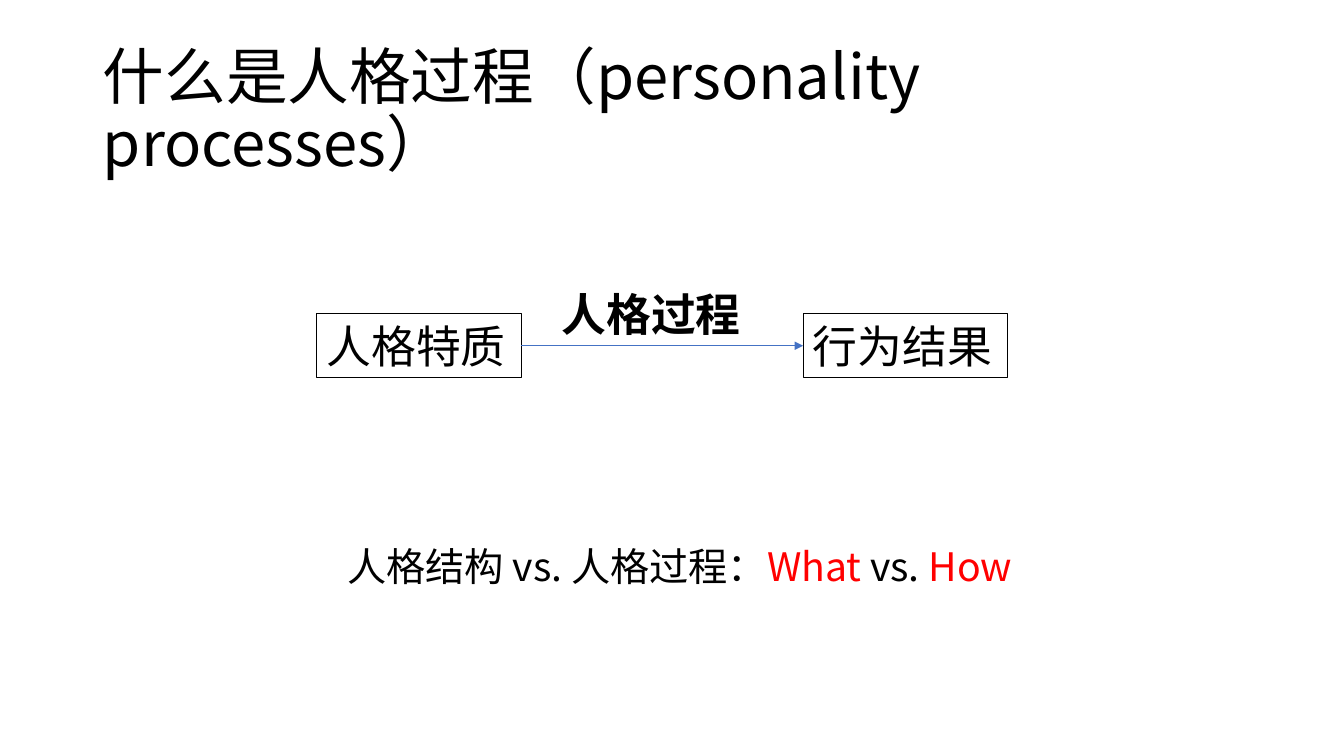
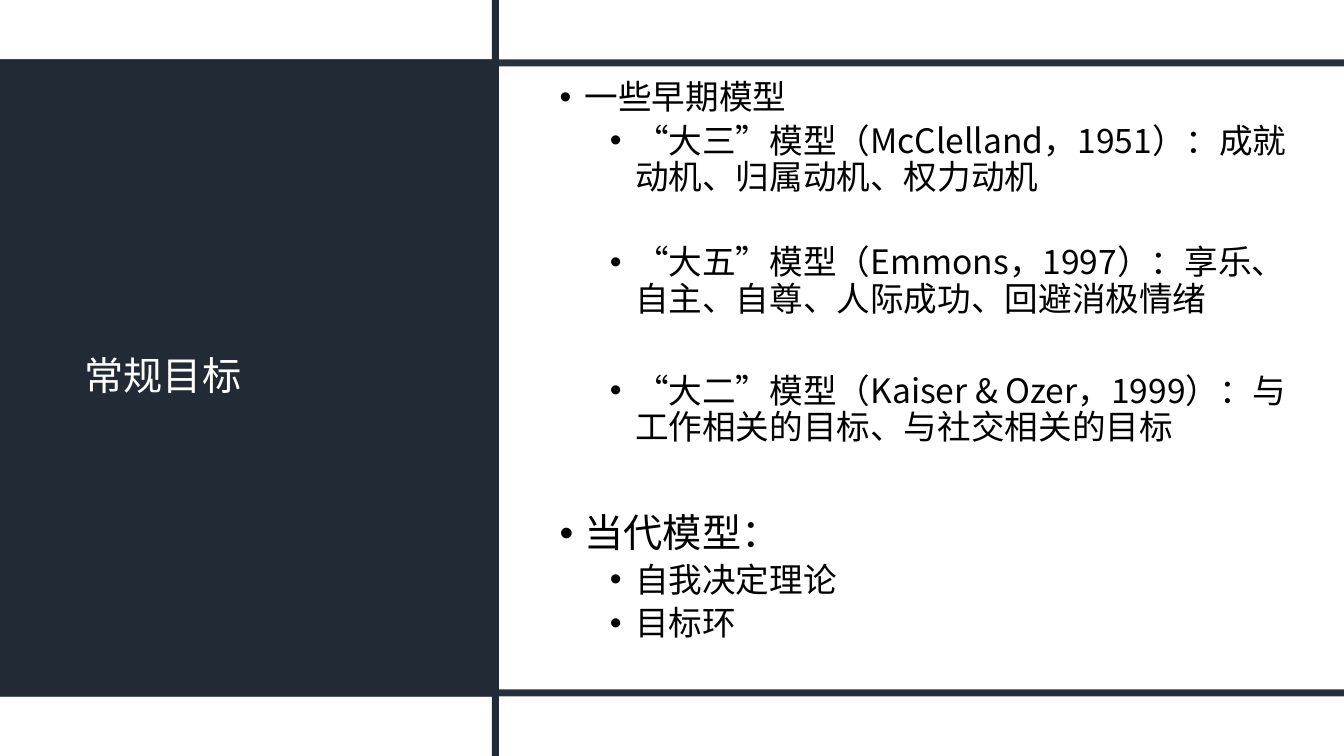
"""Two slides on personality processes and on models of common goals."""
from lxml.etree import SubElement
from pptx import Presentation
from pptx.dml.color import RGBColor
from pptx.enum.shapes import MSO_CONNECTOR, MSO_SHAPE
from pptx.enum.text import MSO_ANCHOR, MSO_AUTO_SIZE, PP_ALIGN
from pptx.oxml.ns import qn
from pptx.util import Inches, Pt

COLORS = {"ink": "000000", "paper": "FFFFFF", "accent": "FF0000",
          "arrow": "4472C4", "navy": "222A35"}
FONT = "Noto Sans CJK SC"
LEFT, RIGHT = 1, 3
TITLE_ONLY, TITLE_AND_BODY = 5, 1


def color(name):
    return RGBColor.from_string(COLORS[name])


class Slides:
    def __init__(self):
        self.deck = Presentation()
        self.deck.slide_width = Inches(13.33)
        self.deck.slide_height = Inches(7.5)
        self.page = None

    def new_page(self, layout):
        self.page = self.deck.slides.add_slide(self.deck.slide_layouts[layout])

    def area(self, left, top, width, height):
        across, down = self.deck.slide_width / 100, self.deck.slide_height / 100
        return [int(left * across), int(top * down), int(width * across), int(height * down)]

    def place(self, box, area):
        for name, value in zip(("left", "top", "width", "height"), self.area(*area)):
            setattr(box, name, value)

    def set_frame(self, box, anchor):
        settings = {"word_wrap": True, "auto_size": MSO_AUTO_SIZE.NONE, "vertical_anchor": anchor}
        for name, value in settings.items():
            setattr(box.text_frame, name, value)

    def format_para(self, para, **settings):
        for name, value in {"alignment": PP_ALIGN.LEFT, **settings}.items():
            setattr(para, name, value)

    def add_span(self, para, text, size, ink="ink", bold=False):
        span = para.add_run()
        span.text = text
        for name, value in {"size": Pt(size), "bold": bold, "name": FONT}.items():
            setattr(span.font, name, value)
        span.font.color.rgb = color(ink)
        SubElement(span.font._element, qn("a:ea")).set("typeface", FONT)

    def title(self, text, area, size, ink="ink"):
        box = self.page.shapes.title
        self.place(box, area)
        self.set_frame(box, MSO_ANCHOR.MIDDLE)
        para = box.text_frame.paragraphs[0]
        self.format_para(para, line_spacing=0.9)
        self.add_span(para, text, size, ink)

    def label(self, spans, area, size, bold=False, outlined=False):
        box = self.page.shapes.add_textbox(*self.area(*area))
        self.set_frame(box, MSO_ANCHOR.TOP)
        para = box.text_frame.paragraphs[0]
        self.format_para(para)
        for text, ink in spans:
            self.add_span(para, text, size, ink, bold)
        if outlined:
            box.line.color.rgb = color("ink")
            box.line.width = Pt(0.75)
        return box

    def arrow(self, start, end):
        line = self.page.shapes.add_connector(MSO_CONNECTOR.STRAIGHT, 0, 0, 0, 0)
        line.begin_connect(start, RIGHT)
        line.end_connect(end, LEFT)
        line.line.color.rgb = color("arrow")
        line.line.width = Pt(0.5)
        SubElement(line.line._get_or_add_ln(), qn("a:tailEnd")).set("type", "triangle")
        SubElement(line._element.spPr, qn("a:effectLst"))

    def backdrop(self, area, opacity=100):
        block = self.page.shapes.add_shape(MSO_SHAPE.RECTANGLE, *self.area(*area))
        block.shadow.inherit = False
        block.fill.solid()
        block.fill.fore_color.rgb = color("navy")
        block.line.fill.background()
        if opacity < 100:
            paint = block._element.spPr.find(".//" + qn("a:srgbClr"))
            SubElement(paint, qn("a:alpha")).set("val", str(opacity * 1000))
        self.page.shapes._spTree.insert(2, block._element)

    def bullets(self, items, area):
        box = self.page.placeholders[1]
        self.place(box, area)
        self.set_frame(box, MSO_ANCHOR.MIDDLE)
        frame = box.text_frame
        for index, (level, size, before, text) in enumerate(items):
            para = frame.paragraphs[0] if index == 0 else frame.add_paragraph()
            properties = para._p.get_or_add_pPr()
            properties.set("marL", str(Inches(0.25 + 0.5 * level)))
            properties.set("indent", str(Inches(-0.25)))
            SubElement(properties, qn("a:buFont")).set("typeface", "Arial")
            SubElement(properties, qn("a:buChar")).set("char", "•")
            self.format_para(para, level=level, line_spacing=0.9,
                             space_before=Pt(before), space_after=Pt(0))
            self.add_span(para, text, size)


def process_slide(slides):
    slides.new_page(TITLE_ONLY)
    slides.title("什么是人格过程（personality processes）", (6.9, 5.3, 86.25, 19.3), 44)
    trait, result = [
        slides.label([(text, "ink")], (left, 41.47, 15.25, 8.53), 32, outlined=True)
        for text, left in (("人格特质", 23.55), ("行为结果", 59.75))]
    slides.arrow(trait, result)
    slides.label([("人格过程", "ink")], (41.03, 37.2, 17.5, 8.53), 32, bold=True)
    slides.label([("人格结构 vs. 人格过程：", "ink"), ("What", "accent"),
                  (" vs. ", "ink"), ("How", "accent")], (25.12, 71.07, 70.9, 7.6), 28)


def goals_slide(slides):
    slides.new_page(TITLE_AND_BODY)
    slides.backdrop((0, 7.87, 37.13, 84.27))
    slides.backdrop((36.6, 0, 0.53, 100))
    for top in (7.87, 91.2):
        slides.backdrop((0, top, 100, 0.93), opacity=97)
    slides.title("常规目标", (5.55, 21.2, 25.4, 57.5), 28, "paper")
    slides.bullets([
        (0, 24, 0, "一些早期模型"),
        (1, 24, 5, "“大三”模型（McClelland，1951）：成就动机、归属动机、权力动机"),
        (1, 24, 35, "“大五”模型（Emmons，1997）：享乐、自主、自尊、人际成功、回避消极情绪"),
        (1, 24, 40, "“大二”模型（Kaiser & Ozer，1999）：与工作相关的目标、与社交相关的目标"),
        (0, 28, 48, "当代模型："),
        (1, 24, 5, "自我决定理论"),
        (1, 24, 5, "目标环"),
    ], (40.88, 9.6, 57.15, 76.53))


def main():
    slides = Slides()
    process_slide(slides)
    goals_slide(slides)
    slides.deck.save("out.pptx")


if __name__ == "__main__":
    main()
